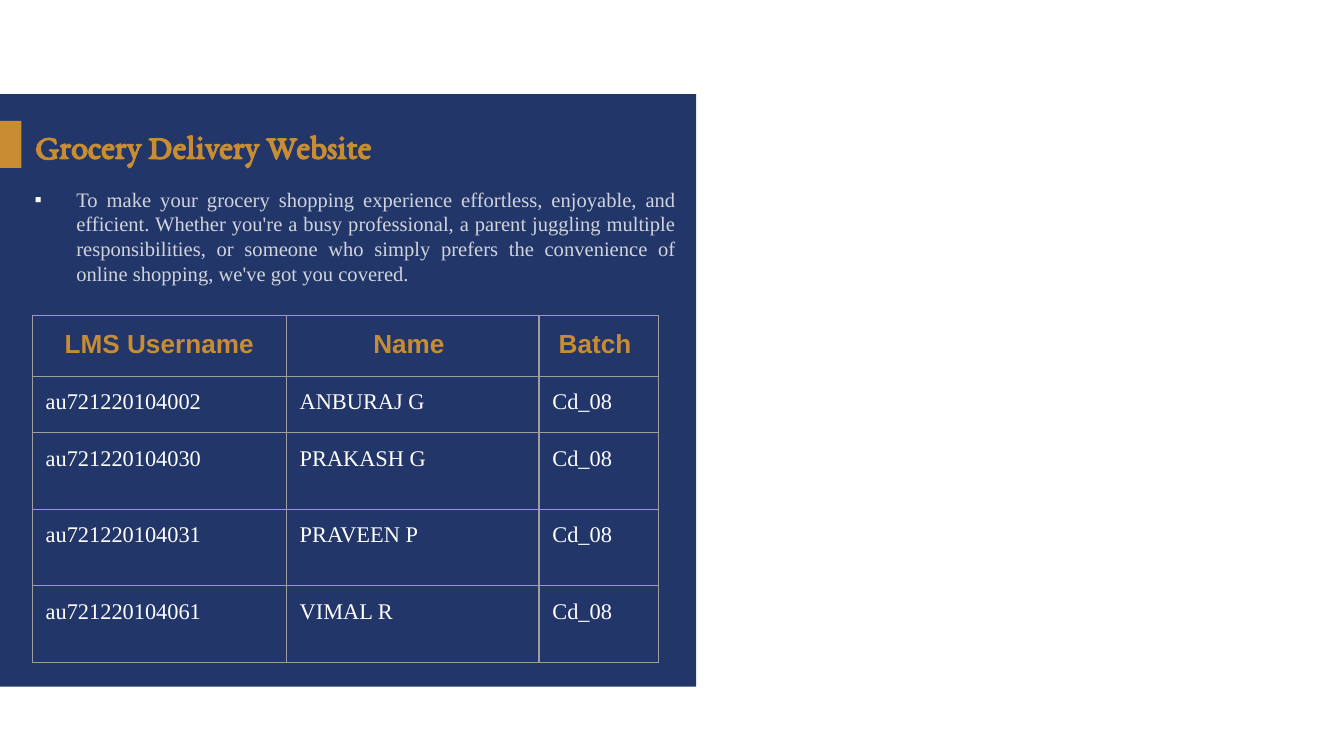
from lxml import etree
from pptx import Presentation
from pptx.dml.color import RGBColor
from pptx.enum.shapes import MSO_SHAPE
from pptx.enum.text import MSO_ANCHOR, PP_ALIGN
from pptx.oxml.ns import qn
from pptx.util import Inches, Pt

RECT = MSO_SHAPE.RECTANGLE
TOP, MIDDLE = MSO_ANCHOR.TOP, MSO_ANCHOR.MIDDLE
LEFT, CENTER, JUSTIFY = PP_ALIGN.LEFT, PP_ALIGN.CENTER, PP_ALIGN.JUSTIFY

WIDTH = 10
HEIGHT = WIDTH * 9 / 16

NAVY, GOLD, WHITE, PALE, GREY = "223669", "C88C32", "FFFFFF", "D1D5DB", "9E9E9E"
SERIF, SANS, DISPLAY = "Times New Roman", "Arial", "EB Garamond"

TITLE = "Grocery Delivery Website"
INTRO = (
    "To make your grocery shopping experience effortless, enjoyable, and efficient. "
    "Whether you're a busy professional, a parent juggling multiple responsibilities, "
    "or someone who simply prefers the convenience of online shopping, "
    "we've got you covered."
)
BATCH = "Cd_08"
MEMBERS = [
    ("LMS Username", "Name ", "Batch "),
    ("au721220104002", "ANBURAJ G", BATCH),
    ("au721220104030", "PRAKASH G", BATCH),
    ("au721220104031", "PRAVEEN P", BATCH),
    ("au721220104061", "VIMAL R", BATCH),
]
COL_WIDTHS = [1.89, 1.88, 0.89]
ROW_HEIGHTS = [0.45, 0.42] + [0.57] * 3


def rgb(color):
    return RGBColor.from_string(color)


def box(*lengths):
    return [Inches(n) for n in lengths]


def write(tf, text, *, size, font, color, bold=False, align=LEFT, anchor=TOP):
    tf.word_wrap = True
    tf.vertical_anchor = anchor
    p = tf.paragraphs[0]
    p.alignment = align
    r = p.add_run()
    r.text = text
    f = r.font
    f.size, f.name, f.bold = Pt(size), font, bold
    f.color.rgb = rgb(color)
    return p


def add_block(s, color, *place):
    sp = s.shapes.add_shape(RECT, *box(*place))
    sp.shadow.inherit = False
    sp.fill.solid()
    sp.fill.fore_color.rgb = rgb(color)
    sp.line.fill.background()


def add_bullet(p, char, color, font, indent):
    pPr = p._p.get_or_add_pPr()
    pPr.set("marL", str(Inches(indent)))
    pPr.set("indent", str(-Inches(indent)))
    clr = etree.SubElement(pPr, qn("a:buClr"))
    etree.SubElement(clr, qn("a:srgbClr"), val=color)
    etree.SubElement(pPr, qn("a:buFont"), typeface=font)
    etree.SubElement(pPr, qn("a:buChar"), char=char)


def add_borders(cell, color, width):
    tcPr = cell._tc.get_or_add_tcPr()
    for side in ("lnL", "lnR", "lnT", "lnB"):
        ln = etree.SubElement(tcPr, qn("a:" + side), w=str(Pt(width)))
        fill = etree.SubElement(ln, qn("a:solidFill"))
        etree.SubElement(fill, qn("a:srgbClr"), val=color)


def add_members(s, left, top):
    place = box(left, top, sum(COL_WIDTHS), sum(ROW_HEIGHTS))
    table = s.shapes.add_table(len(MEMBERS), len(COL_WIDTHS), *place).table
    table.horz_banding = False
    for col, width in zip(table.columns, COL_WIDTHS):
        col.width = Inches(width)
    for row, height in zip(table.rows, ROW_HEIGHTS):
        row.height = Inches(height)
    head = dict(size=14, font=SANS, color=GOLD, bold=True, align=CENTER)
    body = dict(size=12, font=SERIF, color=WHITE)
    for i, values in enumerate(MEMBERS):
        for j, value in enumerate(values):
            cell = table.cell(i, j)
            cell.margin_left = cell.margin_right = Inches(0.1)
            cell.margin_top = cell.margin_bottom = Inches(0.1)
            add_borders(cell, GREY, 0.75)
            cell.fill.background()
            write(cell.text_frame, value, **(body if i else head))


def main():
    prs = Presentation()
    prs.slide_width, prs.slide_height = box(WIDTH, HEIGHT)
    s = prs.slides.add_slide(prs.slide_layouts[5])

    add_block(s, NAVY, 0, 0.7, 5.18, 4.41)
    add_block(s, GOLD, 0, 0.9, 0.16, 0.35)

    title = s.shapes.title
    title.left, title.top, title.width, title.height = box(0.16, 0.89, 3.74, 0.38)
    s.shapes._spTree.append(title._element)  # bring in front of the panel
    write(title.text_frame, TITLE, size=18.3, font=DISPLAY, color=GOLD,
          bold=True, anchor=MIDDLE)

    intro = s.shapes.add_textbox(*box(0.16, 1.34, 4.97, 3.32))
    p = write(intro.text_frame, INTRO, size=11, font=SERIF, color=PALE, align=JUSTIFY)
    add_bullet(p, "▪", WHITE, SANS, 0.31)

    add_members(s, 0.24, 2.35)
    prs.save("out.pptx")


if __name__ == "__main__":
    main()
